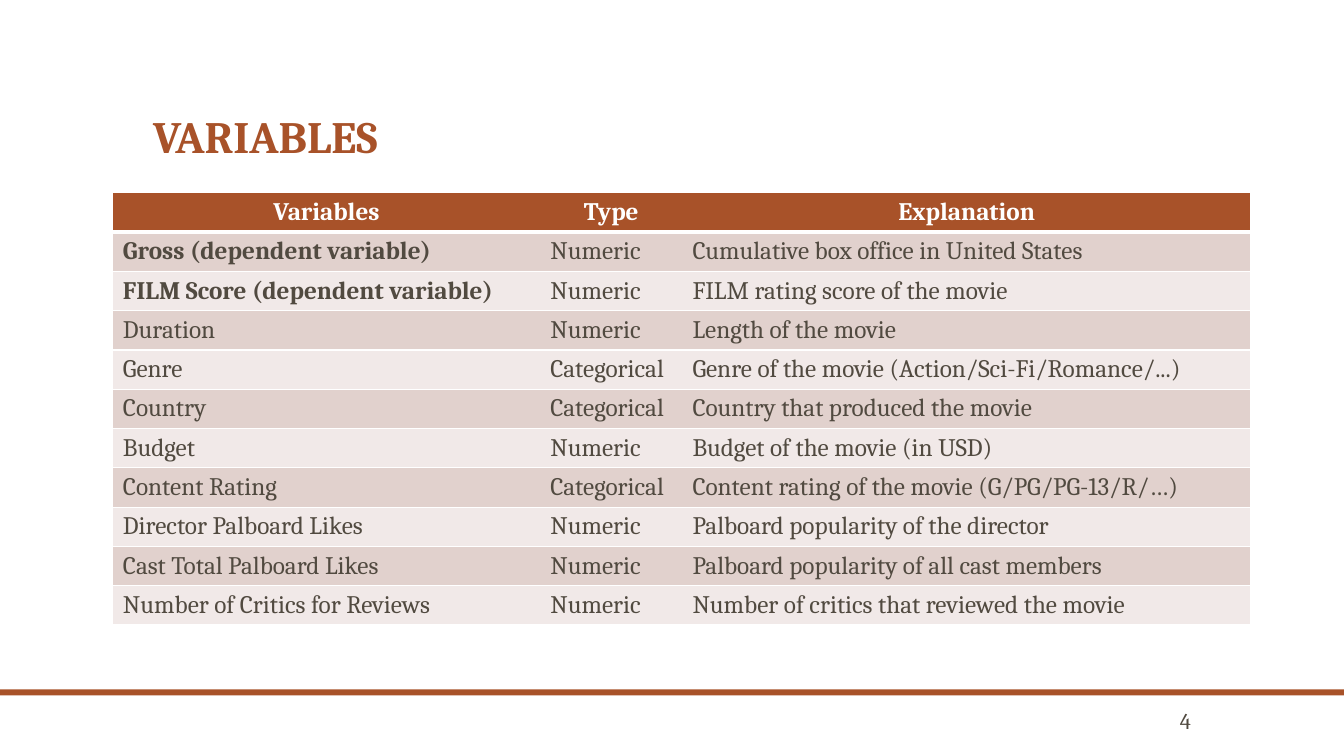
from lxml.etree import SubElement
from pptx import Presentation
from pptx.dml.color import RGBColor
from pptx.enum.shapes import MSO_SHAPE
from pptx.enum.text import MSO_ANCHOR, MSO_AUTO_SIZE, PP_ALIGN
from pptx.oxml.ns import qn
from pptx.util import Inches, Pt

RUST = RGBColor(0xA8, 0x52, 0x29)
BROWN = RGBColor(0x51, 0x4A, 0x40)
ROSE = RGBColor(0xE1, 0xD1, 0xCD)
PALE = RGBColor(0xF1, 0xE9, 0xE8)
WHITE = RGBColor(0xFF, 0xFF, 0xFF)

HEADER = ("Variables", "Type", "Explanation")
VARIABLES = [
    ("Gross (dependent variable)", "Numeric", "Cumulative box office in United States"),
    ("FILM Score (dependent variable)", "Numeric", "FILM rating score of the movie"),
    ("Duration", "Numeric", "Length of the movie"),
    ("Genre", "Categorical", "Genre of the movie (Action/Sci-Fi/Romance/...)"),
    ("Country", "Categorical", "Country that produced the movie"),
    ("Budget", "Numeric", "Budget of the movie (in USD)"),
    ("Content Rating", "Categorical", "Content rating of the movie (G/PG/PG-13/R/…)"),
    ("Director Palboard Likes", "Numeric", "Palboard popularity of the director"),
    ("Cast Total Palboard Likes", "Numeric", "Palboard popularity of all cast members"),
    ("Number of Critics for Reviews", "Numeric", "Number of critics that reviewed the movie"),
]


class SlideBuilder:
    """Places elements by percentages of the slide's width and height."""

    font = "Cambria"

    def __init__(self, prs):
        self.width, self.height = prs.slide_width, prs.slide_height
        self.slide = prs.slides.add_slide(prs.slide_layouts[5])

    def x(self, percent):
        return round(self.width * percent / 100)

    def y(self, percent):
        return round(self.height * percent / 100)

    def box(self, left, top, width, height):
        return self.x(left), self.y(top), self.x(width), self.y(height)

    def add_text(self, tf, text, size, color, bold=False, align=PP_ALIGN.LEFT):
        p = tf.paragraphs[0]
        p.alignment = align
        r = p.add_run()
        r.text = text
        r.font.name, r.font.size, r.font.bold = self.font, Pt(size), bold
        r.font.color.rgb = color
        return p

    def title(self, text, *place):
        sp = self.slide.shapes.title
        sp.left, sp.top, sp.width, sp.height = self.box(*place)
        tf = sp.text_frame
        tf.auto_size = MSO_AUTO_SIZE.NONE
        tf.vertical_anchor = MSO_ANCHOR.BOTTOM
        self.add_text(tf, text, 32, RUST, bold=True).line_spacing = 0.9

    def bar(self, *place):
        sp = self.slide.shapes.add_shape(MSO_SHAPE.RECTANGLE, *self.box(*place))
        sp.shadow.inherit = False
        sp.fill.solid()
        sp.fill.fore_color.rgb = RUST
        sp.line.fill.background()

    def page_number(self, text, *place):
        tf = self.slide.shapes.add_textbox(*self.box(*place)).text_frame
        tf.word_wrap = True
        tf.vertical_anchor = MSO_ANCHOR.MIDDLE
        self.add_text(tf, text, 16, BROWN, align=PP_ALIGN.RIGHT)

    def borders(self, cell, **widths):
        """Draw white cell borders; a width of 0 hides that side."""
        tc_pr = cell._tc.get_or_add_tcPr()
        for side in "LRTB":
            width = widths[side]
            ln = SubElement(tc_pr, qn(f"a:ln{side}"), w=str(Pt(width)))
            if width:
                fill = SubElement(ln, qn("a:solidFill"))
                SubElement(fill, qn("a:srgbClr"), val=str(WHITE))
            else:
                SubElement(ln, qn("a:noFill"))

    def table(self, rows, left, top, col_widths, row_height):
        place = self.box(left, top, sum(col_widths), row_height * len(rows))
        table = self.slide.shapes.add_table(len(rows), len(col_widths), *place).table
        for column, width in zip(table.columns, col_widths):
            column.width = self.x(width)
        last = len(col_widths) - 1
        for i, row in enumerate(rows):
            table.rows[i].height = self.y(row_height)
            is_header = i == 0
            for j, text in enumerate(row):
                cell = table.cell(i, j)
                self.borders(cell, L=int(j == 0), R=int(j == last),
                             T=3 if i == 1 else 1, B=3 if is_header else 1)
                cell.fill.solid()
                cell.fill.fore_color.rgb = RUST if is_header else ROSE if i % 2 else PALE
                self.add_text(cell.text_frame, text, 18,
                              WHITE if is_header else BROWN,
                              bold=is_header or "(dependent" in text,
                              align=PP_ALIGN.CENTER if is_header else PP_ALIGN.LEFT)


def main():
    prs = Presentation()
    prs.slide_width, prs.slide_height = Inches(13.33), Inches(7.5)
    page = SlideBuilder(prs)
    page.bar(0, 91.2, 100, 0.8)
    page.table([HEADER] + VARIABLES, 8.4, 25.5, (31.8, 10.58, 42.3), 5.2)
    page.title("VARIABLES", 10.65, 5.6, 78.75, 16.67)
    page.page_number("4", 83.65, 93.6, 5.7, 3.47)
    prs.save("out.pptx")


if __name__ == "__main__":
    main()
